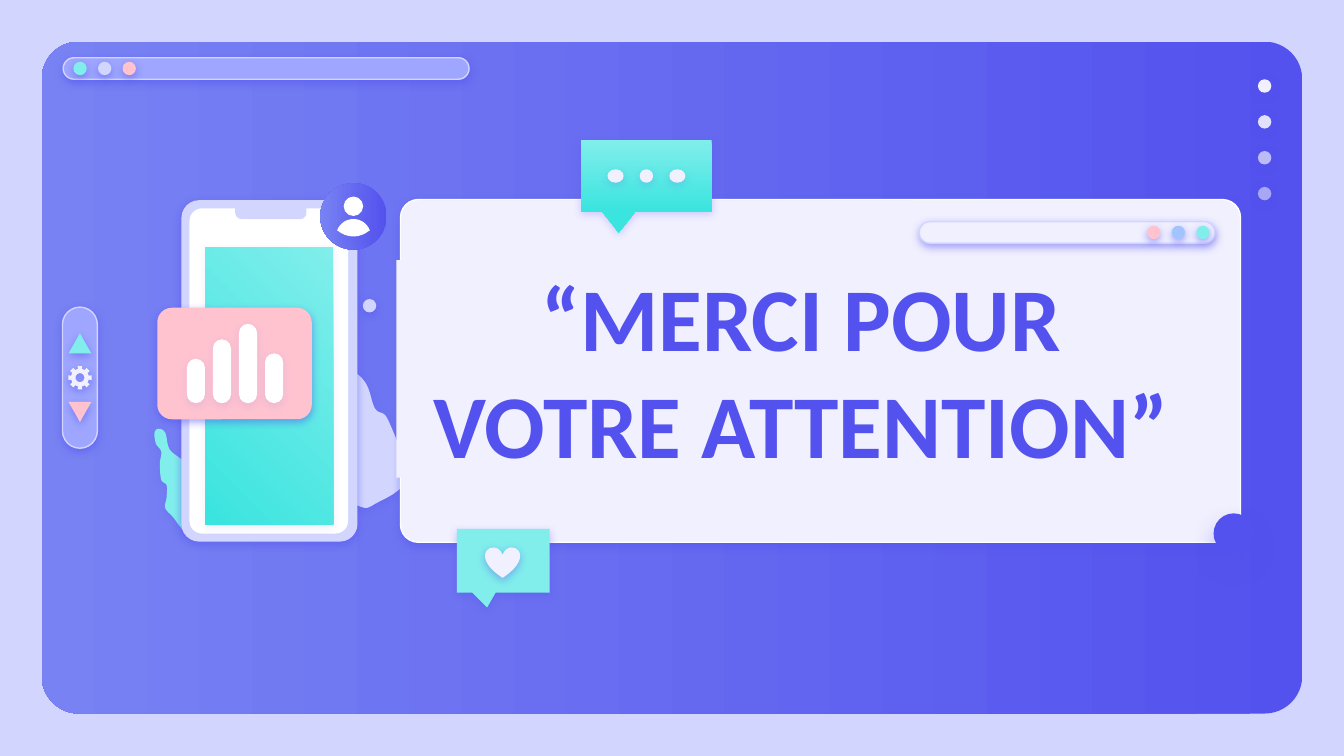
"""Build a closing thank-you slide with a phone illustration, on a grid of 100 columns."""
from math import cos, radians, sin

from lxml.etree import SubElement
from pptx import Presentation
from pptx.dml.color import RGBColor
from pptx.enum.shapes import MSO_SHAPE as SHAPE
from pptx.enum.text import MSO_ANCHOR as ANCHOR, PP_ALIGN as ALIGN
from pptx.oxml.ns import qn
from pptx.util import Inches, Pt

WIDTH, HEIGHT = Inches(10), Inches(5.625)
CELL = WIDTH / 100

INDIGO = RGBColor(0x53, 0x52, 0xEE)
BLUE = RGBColor(0x78, 0x82, 0xF3)
PERIWINKLE = RGBColor(0x9E, 0xA6, 0xFF)
LAVENDER = RGBColor(0xD2, 0xD6, 0xFF)
SKY = RGBColor(0xA1, 0xC3, 0xFF)
MINT = RGBColor(0x81, 0xEE, 0xEB)
TEAL = RGBColor(0x3A, 0xE4, 0xDF)
PINK = RGBColor(0xFF, 0xC3, 0xD0)
PALE = RGBColor(0xF1, 0xF0, 0xFF)
WHITE = RGBColor(0xFF, 0xFF, 0xFF)

LEAF = [(11.8, 31.9), (11.5, 32.2), (11.6, 33), (12, 33.6), (11.9, 34.5),
        (12, 35.7), (12.4, 36.1), (12.4, 37), (12.3, 37.8), (12.9, 38.5),
        (13.5, 39.3), (14, 39.7), (14.7, 38.8), (14.1, 37.4), (14.2, 36),
        (14.1, 34.7), (13.4, 34.1), (12.6, 33.4), (12.3, 32.2)]
BLOB = [(21.9, 23.6), (21.5, 23.8), (22.6, 26.4), (22.4, 28.5), (23.2, 30.3),
        (24.3, 31.3), (24.9, 33.2), (24.6, 35.1), (25, 36.5), (26.8, 37.7),
        (27.9, 37.5), (30.2, 35.6), (28.9, 31.3), (27.9, 30.4), (26.9, 28.1),
        (23.5, 25.8), (23, 24.3)]


def cells(*values):
    """Convert grid cells to EMU."""
    return [round(v * CELL) for v in values]


def style(sp, fill, line=None, shadow=None, blur=4.5, drop=1.5, alpha=None):
    """Set the fill, a (start, end, clockwise angle) gradient, the line and the shadow."""
    if isinstance(fill, RGBColor):
        sp.fill.solid()
        sp.fill.fore_color.rgb = fill
    else:
        *colors, angle = fill
        sp.fill.gradient()
        sp.fill.gradient_angle = 360 - angle
        for stop, color in zip(sp.fill.gradient_stops, colors):
            stop.color.rgb = color
    spPr = sp._element.spPr
    if alpha:
        color = spPr.find(qn("a:solidFill"))[0]
        SubElement(color, qn("a:alpha"), val=str(alpha * 1000))
    if line:
        sp.line.color.rgb = line
        sp.line.width = Pt(0.75)
    else:
        sp.line.fill.background()
    sp.shadow.inherit = False
    if shadow:
        outer = SubElement(spPr.find(qn("a:effectLst")), qn("a:outerShdw"),
                           blurRad=str(int(Pt(blur))), dist=str(int(Pt(drop))),
                           dir="5400000", algn="bl", rotWithShape="0")
        color = SubElement(outer, qn("a:srgbClr"), val=str(INDIGO))
        SubElement(color, qn("a:alpha"), val=str(shadow * 1000))


def add_shape(shapes, kind, box, fill, adj=(), rot=0, **look):
    """Add a preset shape at a (column, row, width, height) box."""
    sp = shapes.add_shape(kind, *cells(*box))
    for i, value in enumerate(adj):
        sp.adjustments[i] = value
    sp.rotation = rot
    style(sp, fill, **look)
    return sp


def add_round(shapes, box, fill, adj=0.5, **look):
    """Add a rounded rectangle, a pill by default."""
    return add_shape(shapes, SHAPE.ROUNDED_RECTANGLE, box, fill, [adj], **look)


def add_dot(shapes, cx, cy, fill, w=1, h=1, **look):
    """Add an ellipse around a centre."""
    return add_shape(shapes, SHAPE.OVAL, (cx - w / 2, cy - h / 2, w, h), fill, **look)


def add_outline(shapes, contours, fill, **look):
    """Add a closed freeform with one or more contours."""
    first, *rest = [[cells(*pt) for pt in contour] for contour in contours]
    builder = shapes.build_freeform(*first[0])
    builder.add_line_segments(first[1:], close=True)
    for contour in rest:
        builder.move_to(*contour[0])
        builder.add_line_segments(contour[1:], close=True)
    style(builder.convert_to_shape(), fill, **look)


def smooth(points, steps=6):
    """Return a closed Catmull-Rom curve through the points."""
    curve = []
    n = len(points)
    for i in range(n):
        quad = [points[(i + k) % n] for k in (-1, 0, 1, 2)]
        for t in (step / steps for step in range(steps)):
            curve.append([
                b + t * (c - a) / 2 + t * t * (2 * a - 5 * b + 4 * c - d) / 2
                + t ** 3 * (3 * b - a - 3 * c + d) / 2
                for a, b, c, d in zip(*quad)])
    return curve


def ring(cx, cy, polar):
    """Turn (radius, degrees) pairs into points around a centre."""
    return [(cx + r * cos(radians(a)), cy + r * sin(radians(a))) for r, a in polar]


def add_text(shapes, text, box, font="Calibri", size=48, color=INDIGO, bold=True, fill=PALE):
    """Add a centred, wrapping text box."""
    sp = shapes.add_textbox(*cells(*box))
    sp.fill.solid()
    sp.fill.fore_color.rgb = fill
    tf = sp.text_frame
    tf.word_wrap = True
    tf.vertical_anchor = ANCHOR.MIDDLE
    tf.margin_left = tf.margin_right = tf.margin_top = tf.margin_bottom = Inches(0.1)
    p = tf.paragraphs[0]
    p.alignment = ALIGN.CENTER
    r = p.add_run()
    r.text = text
    r.font.name, r.font.size, r.font.bold = font, Pt(size), bold
    r.font.color.rgb = color


def add_bar(shapes, box, fill, first_dot, colors):
    """Add a window bar with three dots."""
    group = shapes.add_group_shape().shapes
    add_round(group, box, fill, line=LAVENDER, shadow=50)
    for i, color in enumerate(colors):
        add_dot(group, first_dot + 1.83 * i, box[1] + box[3] / 2, color, shadow=50)


def add_backdrop(shapes):
    """Add the window panel, its bar and the fading dots."""
    add_round(shapes, (3.1, 3.1, 93.8, 50), (INDIGO, BLUE, 180), adj=0.056)
    for i, alpha in enumerate((100, 90, 67, 54)):
        add_dot(shapes, 94.1, 6.4 + 2.67 * i, PALE, alpha=alpha, shadow=50)
    add_bar(shapes, (4.7, 4.3, 30.2, 1.6), PERIWINKLE, 5.96, (MINT, LAVENDER, PINK))


def add_phone(shapes):
    """Add the phone with its chart card, user badge and foliage."""
    group = shapes.add_group_shape().shapes
    add_outline(group, [smooth(BLOB)], LAVENDER, shadow=22)
    add_dot(group, 27.5, 22.75, LAVENDER, shadow=50)
    add_outline(group, [smooth(LEAF)], MINT, shadow=18)
    add_round(group, (13.5, 14.9, 13.1, 25.4), LAVENDER, adj=0.1, shadow=50)
    add_round(group, (14.1, 15.5, 11.8, 24.2), WHITE, adj=0.08)
    add_shape(group, SHAPE.RECTANGLE, (15.3, 18.4, 9.5, 20.6), (MINT, TEAL, 135), shadow=11)
    add_shape(group, SHAPE.ROUND_2_SAME_RECTANGLE, (17.5, 15.4, 5.3, 0.9), LAVENDER,
              [0.5, 0], rot=180)
    add_round(group, (11.7, 22.9, 11.5, 8.3), PINK, adj=0.13, shadow=50)
    for i, height in enumerate((3.3, 4.75, 5.9, 3.7)):
        add_round(group, (13.9 + 1.94 * i, 30 - height, 1.35, height), WHITE, shadow=11)
    add_dot(group, 26.3, 16.1, (INDIGO, BLUE, 180), w=4.95, h=4.95)
    add_dot(group, 26.3, 15.35, WHITE, w=1.45, h=1.45, shadow=11)
    shoulders = ring(26.3, 17.6, [(1.3, a) for a in range(200, 341, 10)])
    belly = ring(26.3, 15.8, [(1.8, a) for a in range(50, 131, 10)])
    add_outline(group, [shoulders + belly], WHITE, shadow=11)


def add_message(shapes):
    """Add the card with the closing words."""
    add_round(shapes, (29.8, 14.85, 62.5, 25.5), PALE, adj=0.052, line=WHITE, shadow=50)
    add_text(shapes, "“MERCI POUR VOTRE ATTENTION”", (29.5, 19.35, 60.2, 16.2))
    add_dot(shapes, 91.8, 39.7, INDIGO, w=3, h=3, shadow=38, blur=12.4, drop=6.8)
    add_bar(shapes, (68.4, 16.5, 22, 1.6), PALE, 85.85, (PINK, SKY, MINT))


def add_controls(shapes):
    """Add the side pill with two arrows and a gear."""
    add_round(shapes, (4.65, 22.85, 2.6, 10.5), PERIWINKLE, line=LAVENDER, shadow=50)
    for row, color, rot in ((24.8, MINT, 0), (29.9, PINK, 180)):
        add_shape(shapes, SHAPE.ISOSCELES_TRIANGLE, (5.1, row, 1.7, 1.5), color,
                  rot=rot, shadow=50)
    teeth = [(r, 45 * i + a) for i in range(8)
             for r, a in ((0.67, -13), (0.88, -11), (0.88, 11), (0.67, 13))]
    hole = [(0.33, a) for a in range(360, 0, -20)]
    add_outline(shapes, [ring(5.95, 28.1, teeth), ring(5.95, 28.1, hole)], PALE, shadow=52)


def add_bubbles(shapes):
    """Add the typing bubble and the heart bubble."""
    callout = SHAPE.ROUNDED_RECTANGULAR_CALLOUT
    typing = shapes.add_group_shape().shapes
    add_shape(typing, callout, (43.2, 10.4, 9.75, 5.35), (MINT, TEAL, 90),
              [-0.209, 0.79, 0], shadow=24)
    for i, width in enumerate((1.2, 1, 1.2)):
        add_dot(typing, 45.8 + 2.3 * i, 13.1, PALE, w=width, shadow=18)
    liking = shapes.add_group_shape().shapes
    add_shape(liking, callout, (34, 39.35, 6.9, 4.75), MINT, [-0.174, 0.731, 0], shadow=31)
    add_shape(liking, SHAPE.HEART, (36.1, 40.7, 2.6, 2.3), PALE, shadow=38)


def main():
    """Build and save the slide."""
    prs = Presentation()
    prs.slide_width, prs.slide_height = WIDTH, HEIGHT
    s = prs.slides.add_slide(prs.slide_layouts[6])
    s.background.fill.solid()
    s.background.fill.fore_color.rgb = LAVENDER
    for add_part in (add_backdrop, add_phone, add_message, add_controls, add_bubbles):
        add_part(s.shapes)
    prs.save("out.pptx")


if __name__ == "__main__":
    main()
